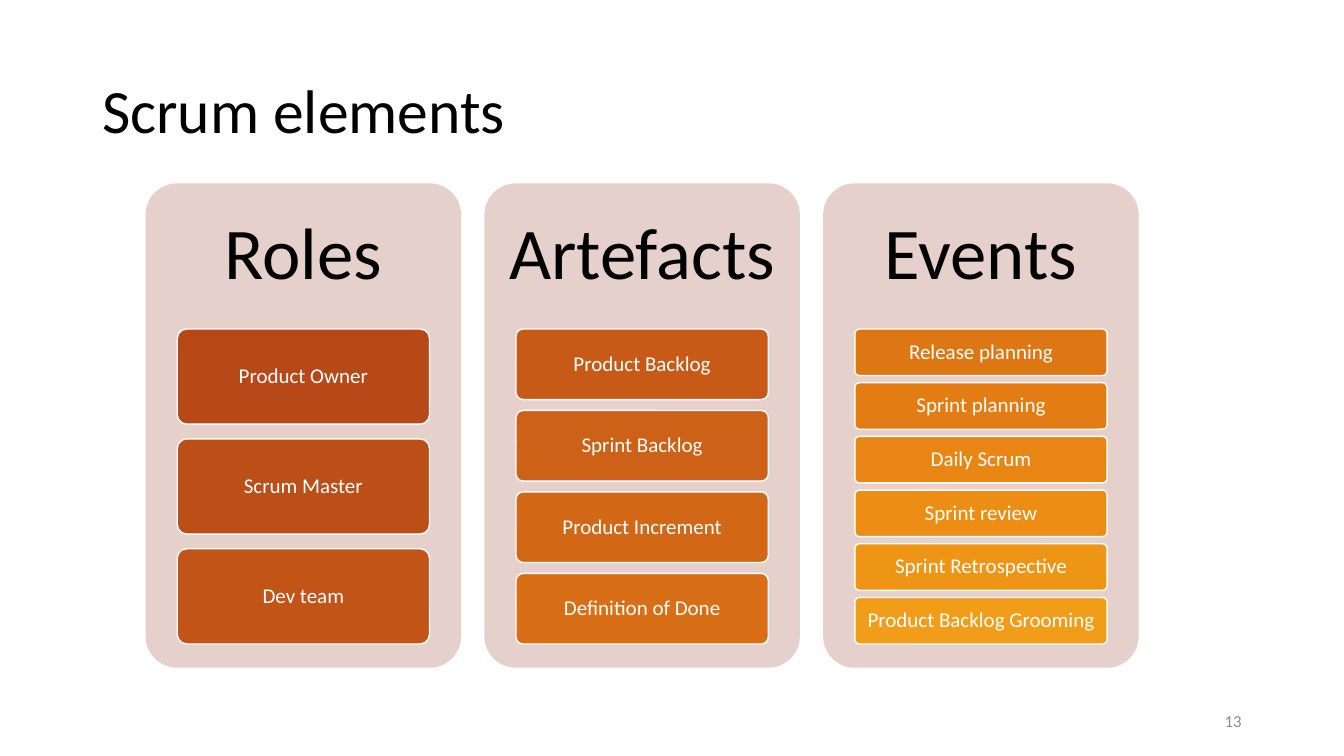
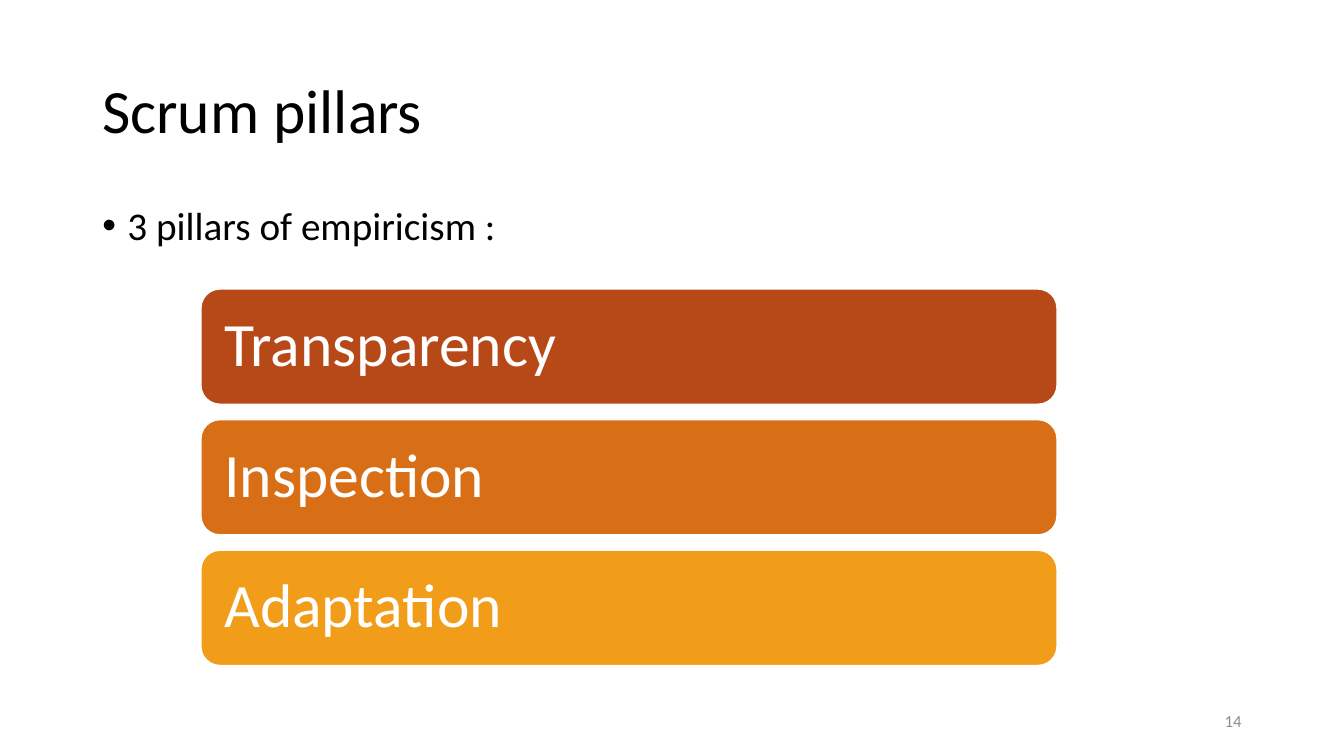
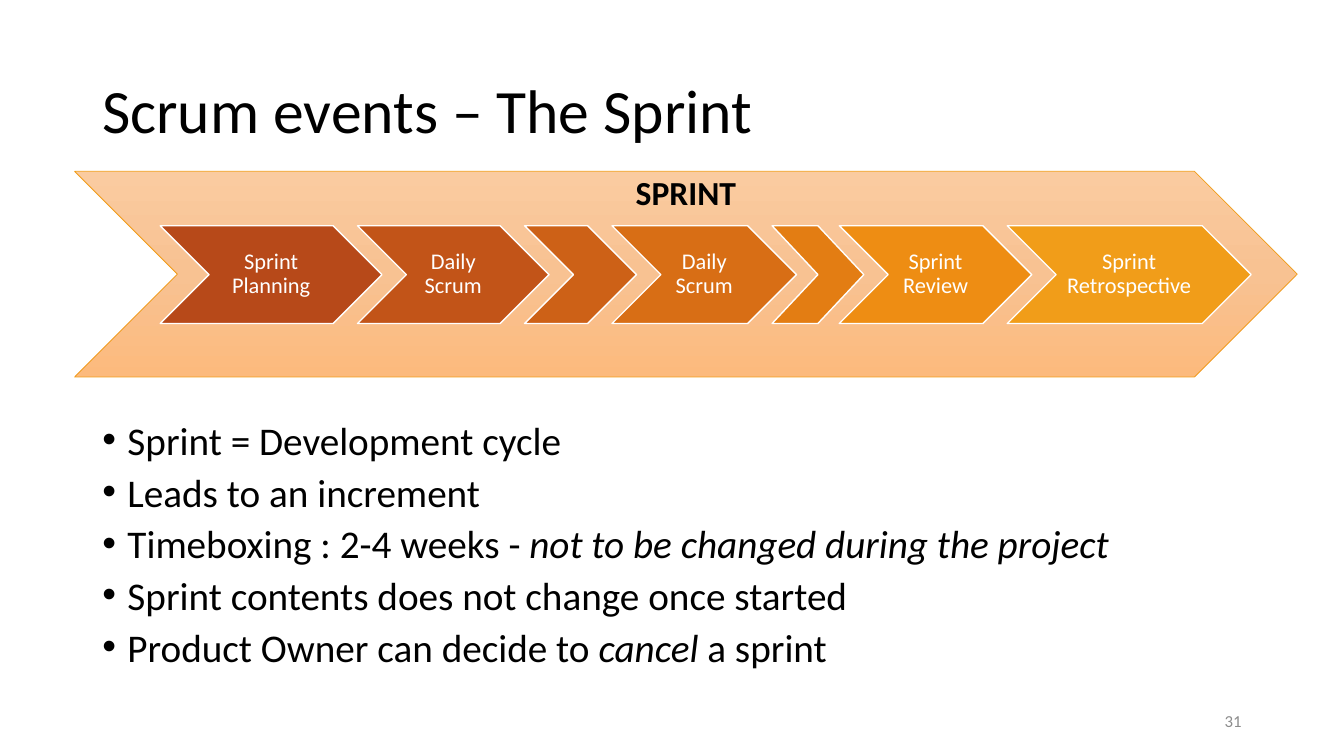
from copy import deepcopy
from dataclasses import dataclass

from pptx import Presentation
from pptx.dml.color import RGBColor
from pptx.enum.shapes import MSO_SHAPE
from pptx.enum.text import MSO_ANCHOR, PP_ALIGN
from pptx.oxml import parse_xml
from pptx.oxml.ns import nsdecls, qn
from pptx.util import Pt

ROUND, CHEVRON = MSO_SHAPE.ROUNDED_RECTANGLE, MSO_SHAPE.CHEVRON
TOP, MIDDLE = MSO_ANCHOR.TOP, MSO_ANCHOR.MIDDLE
LEFT, CENTER, RIGHT = PP_ALIGN.LEFT, PP_ALIGN.CENTER, PP_ALIGN.RIGHT


@dataclass(frozen=True)
class Theme:
    font: str = "Calibri"
    ink: str = "000000"
    paper: str = "FFFFFF"
    grey: str = "8C8C8C"
    card: str = "E6D0CC"
    band: tuple = ("FACBA0", "F8C292", "FCBA7D")
    ramp: tuple = ("B74919", "BC4E18", "C25418", "C75A17", "CD6117",
                   "D26716", "D86E15", "DE7614", "E37D13", "E98512",
                   "EE8D13", "EF9516", "F19D19")
    head: int = 44
    body: int = 28
    large: int = 52
    label: int = 24
    step: int = 16
    item: int = 15
    foot: int = 12

    def shades(self, count):
        """Pick evenly spaced colours from the whole ramp."""
        return self.ramp[::(len(self.ramp) - 1) // (count - 1)]


class Deck:
    def __init__(self, theme):
        self.theme = theme
        self.prs = Presentation()
        self.prs.slide_width, self.prs.slide_height = Pt(960), Pt(540)
        self.slide = None

    # Slide with its title and page number
    def page(self, title, number):
        self.slide = self.prs.slides.add_slide(self.prs.slide_layouts[6])
        self.text((66, 28.8, 828, 104.4), title, size=self.theme.head)
        self.text((678, 500.6, 216, 28.8), str(number), size=self.theme.foot,
                  color=self.theme.grey, align=RIGHT, space=1)

    # Text in a frame: each paragraph is a list of (words, italic) runs
    def fill_in(self, frame, paras, size, color=None, align=LEFT,
                anchor=MIDDLE, pad=(7.2, 3.6), space=0.9, bold=False,
                bullet=False):
        across, down = map(Pt, pad)
        form = {"word_wrap": True, "vertical_anchor": anchor,
                "margin_left": across, "margin_right": across,
                "margin_top": down, "margin_bottom": down}
        for name, value in form.items():
            setattr(frame, name, value)
        if isinstance(paras, str):
            paras = [[(paras, False)]]
        for i, runs in enumerate(paras):
            para = frame.add_paragraph() if i else frame.paragraphs[0]
            para.alignment, para.line_spacing = align, space
            para.space_before = Pt(10 if i else 0)
            if bullet:
                self.bullet(para)
            for words, slant in runs:
                run = para.add_run()
                run.text = words
                look = {"name": self.theme.font, "size": Pt(size),
                        "bold": bold, "italic": slant}
                for name, value in look.items():
                    setattr(run.font, name, value)
                run.font.color.rgb = RGBColor.from_string(
                    color or self.theme.ink)

    def bullet(self, para):
        props = para._p.get_or_add_pPr()
        props.set("marL", str(Pt(18)))
        props.set("indent", str(Pt(-18)))
        for tag in ('buFont {} typeface="Arial"', 'buChar {} char="•"'):
            props.append(parse_xml(f"<a:{tag.format(nsdecls('a'))}/>"))

    def text(self, box, paras, **style):
        shape = self.slide.shapes.add_textbox(*map(Pt, box))
        self.fill_in(shape.text_frame, paras, **style)

    # Preset shape with a plain fill and an optional outline and text
    def shape(self, kind, box, fill, line=None, width=1, bend=None, words="",
              **style):
        shape = self.slide.shapes.add_shape(kind, *map(Pt, box))
        shape.shadow.inherit = False
        shape.fill.solid()
        shape.fill.fore_color.rgb = RGBColor.from_string(fill)
        if line:
            shape.line.color.rgb = RGBColor.from_string(line)
            shape.line.width = Pt(width)
        else:
            shape.line.fill.background()
        if bend is not None:
            shape.adjustments[0] = bend
        if words:
            self.fill_in(shape.text_frame, words, **style)
        return shape

    # Vertical three-stop gradient
    def blend(self, shape, colors):
        shape.fill.gradient()
        shape.fill.gradient_angle = 270
        stops = shape._element.spPr.find(qn("a:gradFill")).find(qn("a:gsLst"))
        stops.insert(1, deepcopy(stops[0]))
        for i, (stop, color) in enumerate(
                zip(shape.fill.gradient_stops, colors)):
            stop.position = i / (len(colors) - 1)
            stop.color.rgb = RGBColor.from_string(color)

    # Card with a heading and a stack of items that fills its height
    def card(self, left, head, items, colors):
        top, width, high, gap = 131, 225.4, 225, 2 / 13
        self.shape(ROUND, (left, top, width, 346), self.theme.card, bend=0.1)
        self.text((left, top, width, 104), head, size=self.theme.large,
                  align=CENTER, pad=(15.6, 15.6))
        tall = high / (len(items) + (len(items) - 1) * gap)
        for i, (item, color) in enumerate(zip(items, colors)):
            box = (left + 22.6, 235 + i * tall * (1 + gap), 180.2, tall)
            self.shape(ROUND, box, color, self.theme.paper, bend=0.1,
                       words=item, size=self.theme.item, align=CENTER,
                       color=self.theme.paper, pad=(3, 2.2))


def main():
    theme = Theme()
    deck = Deck(theme)

    # Elements
    deck.page("Scrum elements", 13)
    cards = {
        "Roles": ["Product Owner", "Scrum Master", "Dev team"],
        "Artefacts": ["Product Backlog", "Sprint Backlog",
                      "Product Increment", "Definition of Done"],
        "Events": ["Release planning", "Sprint planning", "Daily Scrum",
                   "Sprint review", "Sprint Retrospective",
                   "Product Backlog Grooming"],
    }
    used = 0
    for i, (head, items) in enumerate(cards.items()):
        deck.card(104 + 242 * i, head, items, theme.ramp[used:])
        used += len(items)

    # Pillars
    deck.page("Scrum pillars", 14)
    deck.text((66, 144, 562, 50.4), [[("3 pillars of empiricism :", False)]],
              size=theme.body, anchor=TOP, bullet=True)
    bars = ["Transparency", "Inspection", "Adaptation"]
    for i, (bar, color) in enumerate(zip(bars, theme.shades(len(bars)))):
        deck.shape(ROUND, (143.3, 206.2 + 93.3 * i, 612, 82.8), color,
                   theme.paper, 1.5, words=bar, size=theme.head,
                   color=theme.paper, pad=(13, 13))

    # Sprint: bullets, then the band and its steps
    deck.page("Scrum events – The Sprint", 31)
    points = [
        [("Sprint = Development cycle", False)],
        [("Leads to an increment", False)],
        [("Timeboxing : 2-4 weeks - ", False),
         ("not to be changed during the project", True)],
        [("Sprint contents does not change once started", False)],
        [("Product Owner can decide to ", False), ("cancel", True),
         (" a sprint", False)],
    ]
    deck.text((66, 300.2, 828, 186.5), points, size=theme.body, anchor=TOP,
              space=0.8, bullet=True)
    band = deck.shape(CHEVRON, (53.3, 122.4, 873.4, 146.9), theme.band[0],
                      theme.ramp[-1], 0.5, words="SPRINT", size=theme.label,
                      align=CENTER, anchor=TOP, bold=True, pad=(3.6, 3.6))
    deck.blend(band, theme.band)
    steps = [("Sprint Planning", 158.4), ("Daily Scrum", 136.8), ("", 80),
             ("Daily Scrum", 131.8), ("", 65.5), ("Sprint Review", 137.5),
             ("Sprint Retrospective", 174.2)]
    left = 114.5
    for (step, width), color in zip(steps, theme.shades(len(steps))):
        deck.shape(CHEVRON, (left, 161.3, width, 69.8), color, theme.paper,
                   words=step, size=theme.step, color=theme.paper,
                   align=CENTER, pad=(3, 1.5))
        left += width - 17.5

    deck.prs.save("out.pptx")


if __name__ == "__main__":
    main()
